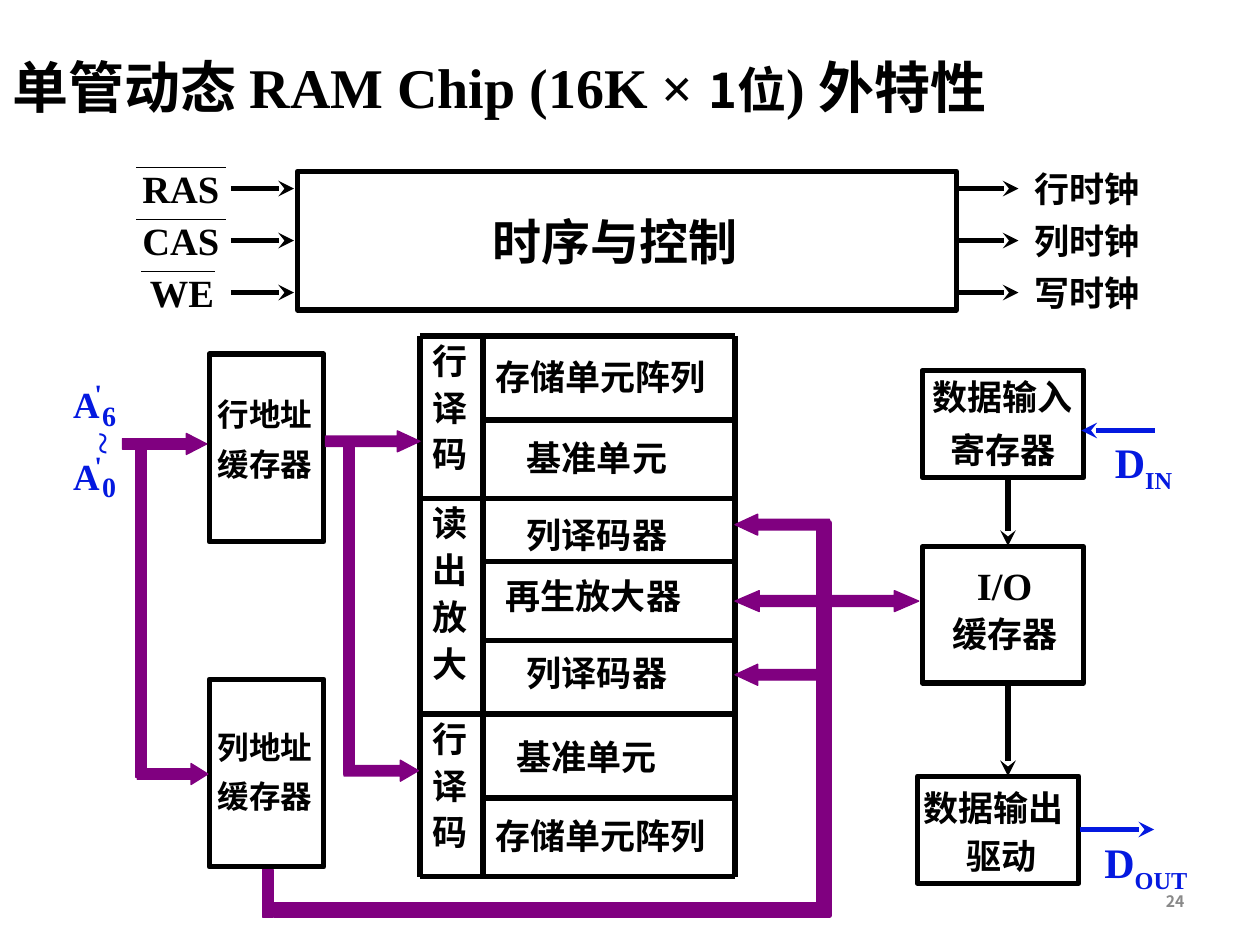
from lxml.etree import SubElement
from pptx import Presentation
from pptx.dml.color import RGBColor
from pptx.enum.shapes import MSO_CONNECTOR, MSO_SHAPE
from pptx.enum.text import MSO_ANCHOR, MSO_AUTO_SIZE, PP_ALIGN
from pptx.oxml.ns import qn
from pptx.util import Pt

COLORS = {"black": "000000", "blue": "0419E0", "purple": "800080", "grey": "898989"}
RGB = {name: RGBColor.from_string(value) for name, value in COLORS.items()}
CJK, LATIN = "Noto Sans CJK SC", "Times New Roman"

prs = Presentation()
prs.slide_width, prs.slide_height = Pt(720), Pt(540)
s = prs.slides.add_slide(prs.slide_layouts[5])


def write(sp, paras, size=20, font=CJK, color="black", bold=True, inset=True,
          wrap=True, anchor=MSO_ANCHOR.TOP, **para_format):
    """Each paragraph is a string or a list of (text, run format) pairs."""
    tf = sp.text_frame
    frame = {"word_wrap": wrap, "auto_size": MSO_AUTO_SIZE.NONE, "vertical_anchor": anchor}
    if not inset:
        frame.update(dict.fromkeys(
            ("margin_left", "margin_top", "margin_right", "margin_bottom"), 0))
    for key, value in frame.items():
        setattr(tf, key, value)
    for i, runs in enumerate(paras):
        p = tf.add_paragraph() if i else tf.paragraphs[0]
        for key, value in para_format.items():
            setattr(p, key, value)
        for chars, fmt in [(runs, {})] if isinstance(runs, str) else runs:
            r = p.add_run()
            r.text = chars
            values = {"size": Pt(fmt.get("size", size)), "bold": bold,
                      "name": fmt.get("font", font)}
            for key, value in values.items():
                setattr(r.font, key, value)
            r.font.color.rgb = RGB[color]
            rPr = r.font._element
            SubElement(rPr, qn("a:ea")).set("typeface", CJK)
            if "baseline" in fmt:
                rPr.set("baseline", str(fmt["baseline"]))


def line(x1, y1, x2, y2, width=3, color="black", arrow=False):
    cn = s.shapes.add_connector(MSO_CONNECTOR.STRAIGHT, Pt(x1), Pt(y1), Pt(x2), Pt(y2))
    cn.line.width = Pt(width)
    cn.line.color.rgb = RGB[color]
    if arrow:
        SubElement(cn.line._get_or_add_ln(), qn("a:tailEnd")).set("type", "stealth")
    SubElement(cn._element.spPr, qn("a:effectLst"))


# Title
title = s.shapes.title
for key, value in {"left": 0, "top": 26.6, "width": 642, "height": 45.4}.items():
    setattr(title, key, Pt(value))
write(title, [[("单管动态 RAM Chip (16K × ", {}), ("1位", {"size": 28, "font": CJK}),
               (") 外特性", {})]],
      size=32, font=LATIN, alignment=PP_ALIGN.LEFT, space_before=Pt(16))

# Outlined blocks: timing, row and column buffers, data in, I/O, data out
for x, y, w, h in [(170, 98, 376.6, 79.2), (119.5, 202.3, 65.5, 107.3),
                   (119.5, 388.1, 65.5, 107.3), (527, 211.7, 92.2, 61.2),
                   (527, 312.5, 92.2, 77.8), (524.2, 443.5, 92.2, 61.2)]:
    sp = s.shapes.add_shape(MSO_SHAPE.RECTANGLE, Pt(x), Pt(y), Pt(w), Pt(h))
    sp.shadow.inherit = False
    sp.fill.background()
    sp.line.width = Pt(3)
    sp.line.color.rgb = RGB["black"]

# Memory array grid
LEFT, SPLIT, RIGHT, TOP, BOTTOM = 240, 276, 420, 192, 501
for x in (LEFT, SPLIT, RIGHT):
    line(x, TOP, x, BOTTOM)
for y in (TOP, 285, 408, BOTTOM):
    line(LEFT, y, RIGHT, y)
for y in (240, 321, 366, 456):
    line(SPLIT, y, RIGHT, y)

# Control signals and clocks
labels = []
signals = [("RAS", 81.4, 77.8, 128.9, "行时钟"), ("CAS", 81.4, 77.8, 128.9, "列时钟"),
           ("WE", 85.7, 80.6, 123.1, "写时钟")]
for i, (signal, x, bar_left, bar_right, clock) in enumerate(signals):
    y = 95.8 + 29.7 * i
    line(bar_left, y, bar_right, y, width=0.75)
    line(132, y + 12, 168, y + 12, arrow=True)
    line(546, y + 12, 582, y + 12, arrow=True)
    labels += [(x, y - 1.5, 44, 26.6, [signal], {"size": 22, "font": LATIN}),
               (591.1, y, 60.5, 23.8, [clock], {})]

# Unpadded labels: x, y, width, height, paragraphs, format
labels += [
    (281.5, 121, 154.8, 33.8, ["时序与控制"], {"size": 28}),
    (532.8, 214.6, 80.6, 23.8, ["数据输入"], {}),
    (542.9, 244.8, 60.5, 23.8, ["寄存器"], {}),
    (558.2, 321.1, 32, 26.6, ["I/O"], {"size": 22, "font": LATIN}),
    (544.3, 349.9, 60.5, 23.8, ["缓存器"], {}),
    (527.8, 449.3, 80.6, 23.8, ["数据输出"], {}),
    (552.2, 476.6, 40.3, 23.8, ["驱动"], {}),
]
blue = {"font": LATIN, "color": "blue"}
for digit, y in (("6", 218.2), ("0", 259.2)):
    labels += [(41.8, y, 15.1, 25.2, ["A"], {"size": 21, **blue}),
               (54, y - 3, 4.3, 19.4, ["'"], {"size": 16, **blue}),
               (58.3, y + 9.3, 7.9, 19.4, [digit], {"size": 16, **blue})]
for x, y, w, h, paras, fmt in labels:
    sp = s.shapes.add_textbox(Pt(x), Pt(y), Pt(w), Pt(h))
    write(sp, paras, inset=False, wrap=False, **fmt)

# Padded labels: array cells, address buffers, data pins, page number
column = {"line_spacing": 0.95, "space_before": Pt(4)}
buffer = {"size": 18, "line_spacing": 0.9, "space_before": Pt(9)}
cell = {"space_before": Pt(4)}
pin = {"size": 24, "space_before": Pt(12), **blue}
sub = {"baseline": -25000}
for x, y, w, h, paras, fmt in [
    (240, 192, 36, 93, list("行译码"), column),
    (240, 285, 36, 123, list("读出放大"), column),
    (240, 408, 36, 93, list("行译码"), column),
    (276, 199.5, 144, 48, ["存储单元阵列"], cell),
    (294, 246, 144, 45, ["基准单元"], {}),
    (294, 290, 144, 36, ["列译码器"], cell),
    (282, 325, 144, 45, ["再生放大器"], cell),
    (294, 369, 144, 42, ["列译码器"], cell),
    (288, 417, 144, 48, ["基准单元"], cell),
    (276, 462, 144, 45, ["存储单元阵列"], cell),
    (117.4, 224.6, 90.7, 71.3, ["行地址", "缓存器"], buffer),
    (117.4, 414.7, 90.7, 71.3, ["列地址", "缓存器"], buffer),
    (630, 246.2, 59.8, 36, [[("D", {}), ("IN", sub)]], pin),
    (624, 474.5, 90, 36, [[("D", {}), ("OUT", sub)]], pin),
    (516.2, 500.4, 167.8, 28.8, ["24"],
     {"size": 9, "color": "grey", "anchor": MSO_ANCHOR.MIDDLE, "alignment": PP_ALIGN.RIGHT}),
]:
    write(s.shapes.add_textbox(Pt(x), Pt(y), Pt(w), Pt(h)), paras, **fmt)

# Vertical range sign between the address pins
sp = s.shapes.add_textbox(Pt(34.6), Pt(239.8), Pt(43.9), Pt(30.2))
write(sp, ["~"], bold=False, **pin)
sp.text_frame._txBody.bodyPr.set("vert", "eaVert")

# Address and data buses: shape, x, y, width, height, line width, adjustments
BAR, TO_RIGHT = MSO_SHAPE.RECTANGLE, MSO_SHAPE.RIGHT_ARROW
TO_LEFT, BOTH = MSO_SHAPE.LEFT_ARROW, MSO_SHAPE.LEFT_RIGHT_ARROW
for kind, x, y, w, h, width, adjustments in [
    (BAR, 77.8, 252, 6, 192.2, 0.75, []),
    (BAR, 196.6, 250.6, 6, 192.2, 0.75, []),
    (BAR, 150, 497, 6, 27, 0.75, []),
    (BAR, 468, 298.8, 6, 224.2, 3, []),
    (BAR, 157, 517, 311, 6, 3, []),
    (TO_RIGHT, 70, 247.7, 48.2, 12, 0.75, [0.5, 0.97]),
    (TO_RIGHT, 78.5, 436.3, 40.3, 12, 0.75, [0.5, 0.8]),
    (TO_RIGHT, 186, 246.2, 54, 12, 0.75, [0.5, 1.08]),
    (TO_RIGHT, 196.6, 434.4, 42.5, 12, 0.75, [0.5, 0.86]),
    (TO_LEFT, 420, 293.8, 54, 12, 0.75, [0.5, 1.08]),
    (TO_LEFT, 420, 379.6, 54, 12, 0.75, [0.5, 1.08]),
    (BOTH, 420, 337.5, 105, 12, 0.75, [0.52, 1.16]),
]:
    sp = s.shapes.add_shape(kind, Pt(x), Pt(y), Pt(w), Pt(h))
    sp.shadow.inherit = False
    sp.fill.solid()
    sp.fill.fore_color.rgb = sp.line.color.rgb = RGB["purple"]
    sp.line.width = Pt(width)
    for i, value in enumerate(adjustments):
        sp.adjustments[i] = value

# Data path arrows
for x1, y1, x2, y2, color in [(576, 273, 576, 312, "black"), (576, 390, 576, 443.5, "black"),
                              (660, 246, 618, 246, "blue"), (617, 474, 659.5, 474, "blue")]:
    line(x1, y1, x2, y2, color=color, arrow=True)

prs.save("out.pptx")
